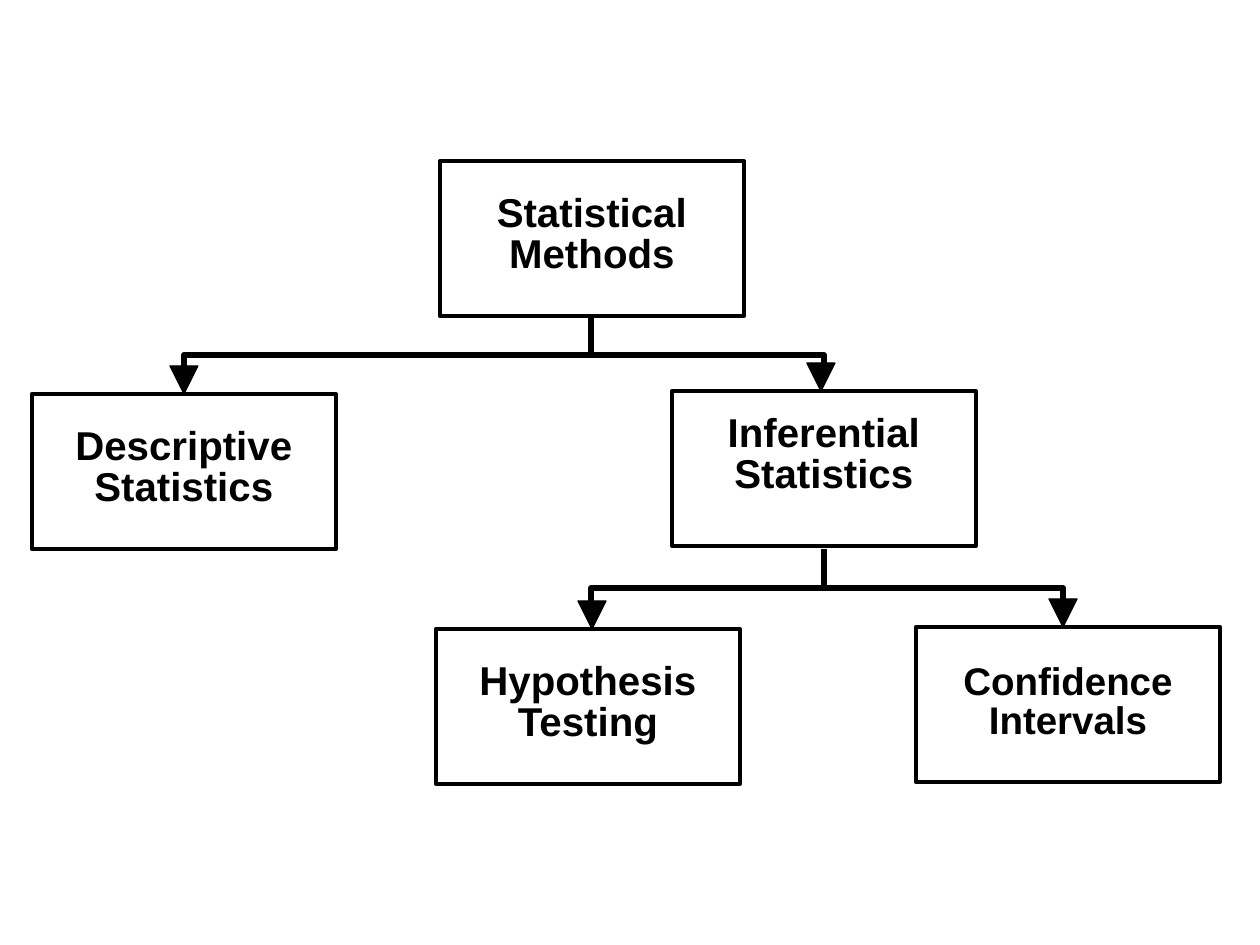
from pptx import Presentation
from pptx.dml.color import RGBColor
from pptx.enum.shapes import MSO_SHAPE
from pptx.enum.text import PP_ALIGN
from pptx.util import Emu, Pt

RECT = MSO_SHAPE.RECTANGLE
CENTER = PP_ALIGN.CENTER
BLACK = RGBColor(0, 0, 0)
SCALE = 914400 / 126
BOX_W, BOX_H = 304, 155
DROP, STEM = 39, 14
HEAD_W, HEAD_H = 28, 28

BOXES = [
    ("Statistical Methods", 440, 161, 299, 34, 82, 23),
    ("Descriptive Statistics", 32, 394, 291, 34, 82, 23),
    ("Inferential Statistics", 672, 391, 267, 24, 82, 23),
    ("Confidence Intervals", 916, 627, 319, 37, 78, 22),
    ("Hypothesis Testing", 436, 629, 285, 34, 82, 23),
]
BRANCHES = [
    (591, 316, [(824, 821, 391), (184, 184, 394)]),
    (824, 549, [(1063, 1063, 627), (591, 592, 629)]),
]


def px(n):
    """Turn px into EMU."""
    return Emu(round(n * SCALE))


def add_box(slide, text, x, y, text_w, text_dy, text_h, size):
    """Draw an outlined box with its label centred across it."""
    sp = slide.shapes.add_shape(RECT, px(x), px(y), px(BOX_W), px(BOX_H))
    sp.shadow.inherit = False
    sp.fill.background()
    sp.line.color.rgb = BLACK
    sp.line.width = Pt(2.38)

    label = slide.shapes.add_textbox(
        px(x + (BOX_W - text_w) / 2), px(y + text_dy), px(text_w), px(text_h))
    tf = label.text_frame
    tf.word_wrap = True
    tf.margin_left = tf.margin_right = tf.margin_top = tf.margin_bottom = 0
    p = tf.paragraphs[0]
    p.text = text
    p.alignment = CENTER
    p.line_spacing = 0.85
    p.space_before = Pt(size / 4)
    p.font.name = "Arial"
    p.font.size = Pt(size)
    p.font.bold = True
    p.font.color.rgb = BLACK


def add_path(slide, points, width, closed=False):
    """Draw a black path through the points, filled when closed."""
    fb = slide.shapes.build_freeform(*points[0], scale=SCALE)
    fb.add_line_segments(points[1:], close=closed)
    sp = fb.convert_to_shape()
    sp.shadow.inherit = False
    if closed:
        sp.fill.solid()
        sp.fill.fore_color.rgb = BLACK
    else:
        sp.fill.background()
    sp.line.color.rgb = BLACK
    sp.line.width = Pt(width)


def add_branch(slide, x, y, targets):
    """Draw elbow lines from one parent down to an arrowhead on each child."""
    bar = y + DROP
    for end_x, tip_x, tip_y in targets:
        add_path(slide, [(x, y), (x, bar), (end_x, bar), (end_x, bar + STEM)], 3.37)
        left, right = tip_x - HEAD_W // 2, tip_x + HEAD_W // 2
        top = tip_y - HEAD_H
        add_path(slide, [(right, top), (tip_x, tip_y), (left, top)], 0.75, closed=True)


def main():
    """Build the statistical methods tree."""
    prs = Presentation()
    prs.slide_width, prs.slide_height = px(1260), px(945)
    slide = prs.slides.add_slide(prs.slide_layouts[6])
    for box in BOXES:
        add_box(slide, *box)
    for branch in BRANCHES:
        add_branch(slide, *branch)
    prs.save("out.pptx")


if __name__ == "__main__":
    main()
